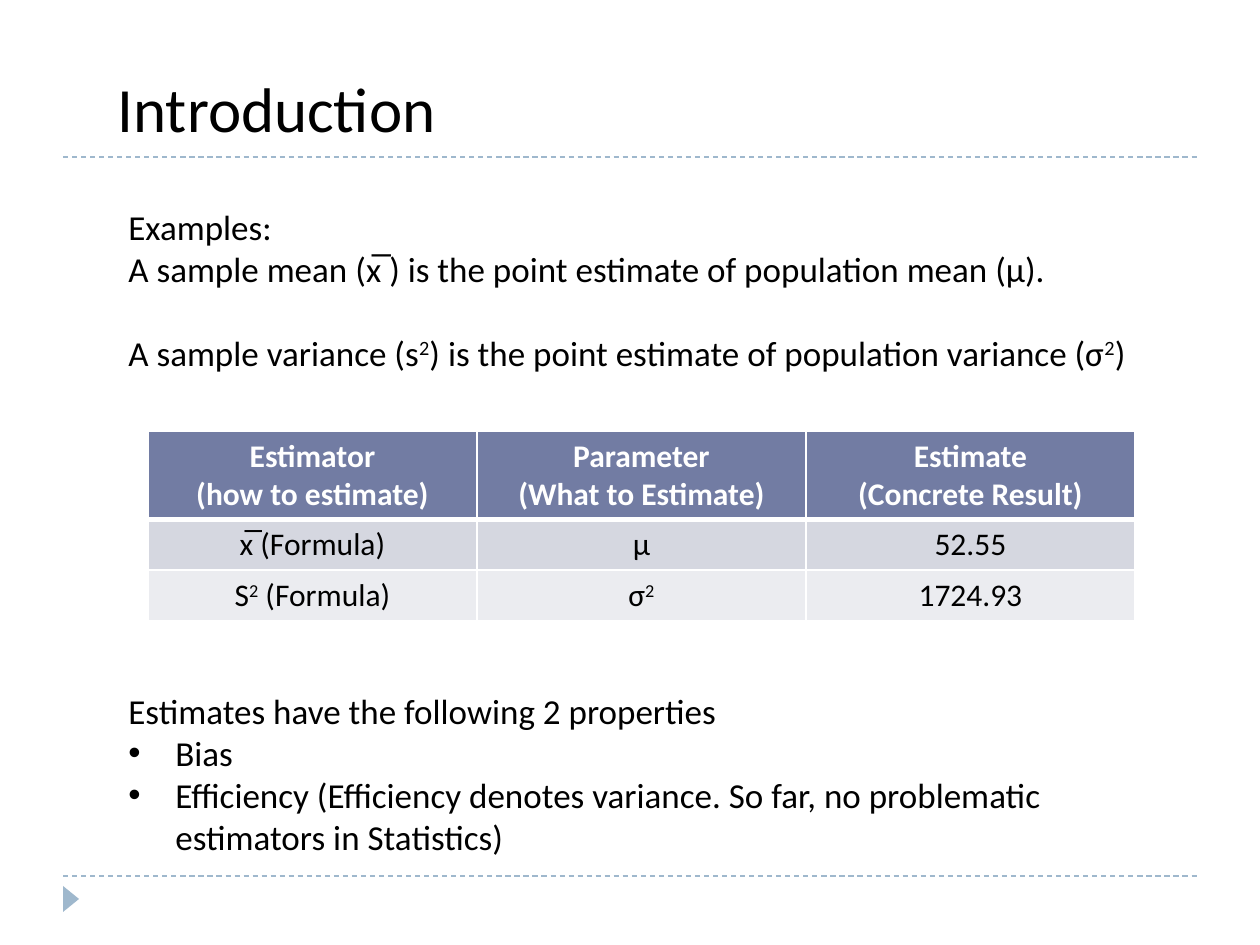
from dataclasses import dataclass

from lxml.etree import SubElement
from pptx import Presentation
from pptx.dml.color import RGBColor
from pptx.enum.dml import MSO_LINE
from pptx.enum.shapes import MSO_CONNECTOR, MSO_SHAPE
from pptx.enum.text import MSO_ANCHOR, MSO_AUTO_SIZE, PP_ALIGN
from pptx.oxml.ns import qn
from pptx.util import Emu, Pt


@dataclass(frozen=True)
class Theme:
    font: str = "Calibri"
    ink: str = "000000"
    white: str = "FFFFFF"
    accent: str = "9FB8CD"
    header: str = "727CA3"
    bands: tuple = ("D5D7E0", "EBECF0")
    title_size: int = 36
    body_size: int = 20
    table_size: int = 18


THEME = Theme()
PX_PER_INCH = 126

TITLE = "Introduction"
EXAMPLES = [
    {"text": "Examples:"},
    {"text": "A sample mean (x̅ ) is the point estimate of population mean (μ)."},
    {"text": "A sample variance (s^2^) is the point estimate of population variance (σ^2^)",
     "space_before": 24},
]
PROPERTIES = [
    {"text": "Estimates have the following 2 properties"},
    {"text": "Bias", "bullet": True},
    {"text": "Efficiency (Efficiency denotes variance. So far, no problematic "
             "estimators in Statistics)", "bullet": True},
]
TABLE = [
    [("Estimator", "(how to estimate)"), ("Parameter", "(What to Estimate)"),
     ("Estimate", "(Concrete Result)")],
    [("x̅ (Formula)",), ("μ",), ("52.55",)],
    [("S^2^ (Formula)",), ("σ^2^",), ("1724.93",)],
]

TITLE_BOX = (105, 63, 347, 89)
TEXT_BOXES = [((116, 199, 1050, 183), EXAMPLES), ((116, 683, 1050, 183), PROPERTIES)]
TABLE_LEFT, TABLE_TOP, COLUMN_WIDTH = 148, 431, 329
ROW_HEIGHTS = (87, 51, 51)
RULE_LEFT, RULE_RIGHT = 63, 1197
RULE_TOPS = (157, 876)
MARKER_BOX = (58, 891, 26, 16)
BULLET_INDENT = 47


def px(length):
    return Emu(round(length * 914400 / PX_PER_INCH))


def rgb(value):
    return RGBColor.from_string(value)


def add_spans(para, text, size, color=THEME.ink, bold=False):
    for index, part in enumerate(text.split("^")):
        if not part:
            continue
        span = para.add_run()
        span.text = part
        span.font.name = THEME.font
        span.font.size = Pt(size)
        span.font.bold = bold
        span.font.color.rgb = rgb(color)
        if index % 2:
            span._r.get_or_add_rPr().set("baseline", "30000")


def paragraphs(frame, items):
    for index, item in enumerate(items):
        yield (frame.add_paragraph() if index else frame.paragraphs[0]), item


def add_bullet(para):
    properties = para._p.get_or_add_pPr()
    properties.set("marL", str(px(BULLET_INDENT)))
    properties.set("indent", str(-px(BULLET_INDENT)))
    SubElement(properties, qn("a:buFont"), typeface="Arial")
    SubElement(properties, qn("a:buChar"), char="•")


def add_rule(slide, top):
    rule = slide.shapes.add_connector(
        MSO_CONNECTOR.STRAIGHT, px(RULE_LEFT), px(top), px(RULE_RIGHT), px(top))
    rule.line.color.rgb = rgb(THEME.accent)
    rule.line.width = Pt(0.75)
    rule.line.dash_style = MSO_LINE.DASH
    SubElement(rule._element.spPr, qn("a:effectLst"))


def add_marker(slide):
    marker = slide.shapes.add_shape(MSO_SHAPE.ISOSCELES_TRIANGLE, *map(px, MARKER_BOX))
    marker.rotation = 90
    marker.shadow.inherit = False
    marker.fill.solid()
    marker.fill.fore_color.rgb = rgb(THEME.accent)
    marker.line.fill.background()


def set_title(slide):
    title = slide.shapes.title
    title.left, title.top, title.width, title.height = map(px, TITLE_BOX)
    frame = title.text_frame
    frame.word_wrap = False
    frame.auto_size = MSO_AUTO_SIZE.SHAPE_TO_FIT_TEXT
    frame.vertical_anchor = MSO_ANCHOR.TOP
    para = frame.paragraphs[0]
    para.alignment = PP_ALIGN.LEFT
    add_spans(para, TITLE, THEME.title_size)


def add_text(slide, place, items):
    frame = slide.shapes.add_textbox(*map(px, place)).text_frame
    frame.word_wrap = True
    frame.auto_size = MSO_AUTO_SIZE.SHAPE_TO_FIT_TEXT
    for para, item in paragraphs(frame, items):
        if "space_before" in item:
            para.space_before = Pt(item["space_before"])
        if item.get("bullet"):
            add_bullet(para)
        add_spans(para, item["text"], THEME.body_size)


def set_borders(cell, widths):
    properties = cell._tc.get_or_add_tcPr()
    for side, width in widths.items():
        line = SubElement(properties, qn(f"a:ln{side}"), w=str(Pt(width)))
        fill = SubElement(line, qn("a:solidFill"))
        SubElement(fill, qn("a:srgbClr"), val=THEME.white)


def add_estimates(slide):
    columns = len(TABLE[0])
    table = slide.shapes.add_table(
        len(TABLE), columns, px(TABLE_LEFT), px(TABLE_TOP),
        px(COLUMN_WIDTH * columns), px(sum(ROW_HEIGHTS))).table
    for column in table.columns:
        column.width = px(COLUMN_WIDTH)
    for row_index, row in enumerate(TABLE):
        table.rows[row_index].height = px(ROW_HEIGHTS[row_index])
        is_header = row_index == 0
        fill = THEME.header if is_header else THEME.bands[(row_index - 1) % 2]
        color = THEME.white if is_header else THEME.ink
        borders = {"L": 1, "R": 1, "T": 3 if row_index == 1 else 1, "B": 3 if is_header else 1}
        for column_index, lines in enumerate(row):
            cell = table.cell(row_index, column_index)
            set_borders(cell, borders)
            cell.fill.solid()
            cell.fill.fore_color.rgb = rgb(fill)
            for para, text in paragraphs(cell.text_frame, lines):
                para.alignment = PP_ALIGN.CENTER
                add_spans(para, text, THEME.table_size, color, is_header)


def main():
    deck = Presentation()
    deck.slide_width, deck.slide_height = px(1260), px(945)
    slide = deck.slides.add_slide(deck.slide_layouts[5])
    for top in RULE_TOPS:
        add_rule(slide, top)
    add_marker(slide)
    set_title(slide)
    for place, items in TEXT_BOXES:
        add_text(slide, place, items)
    add_estimates(slide)
    deck.save("out.pptx")


if __name__ == "__main__":
    main()
